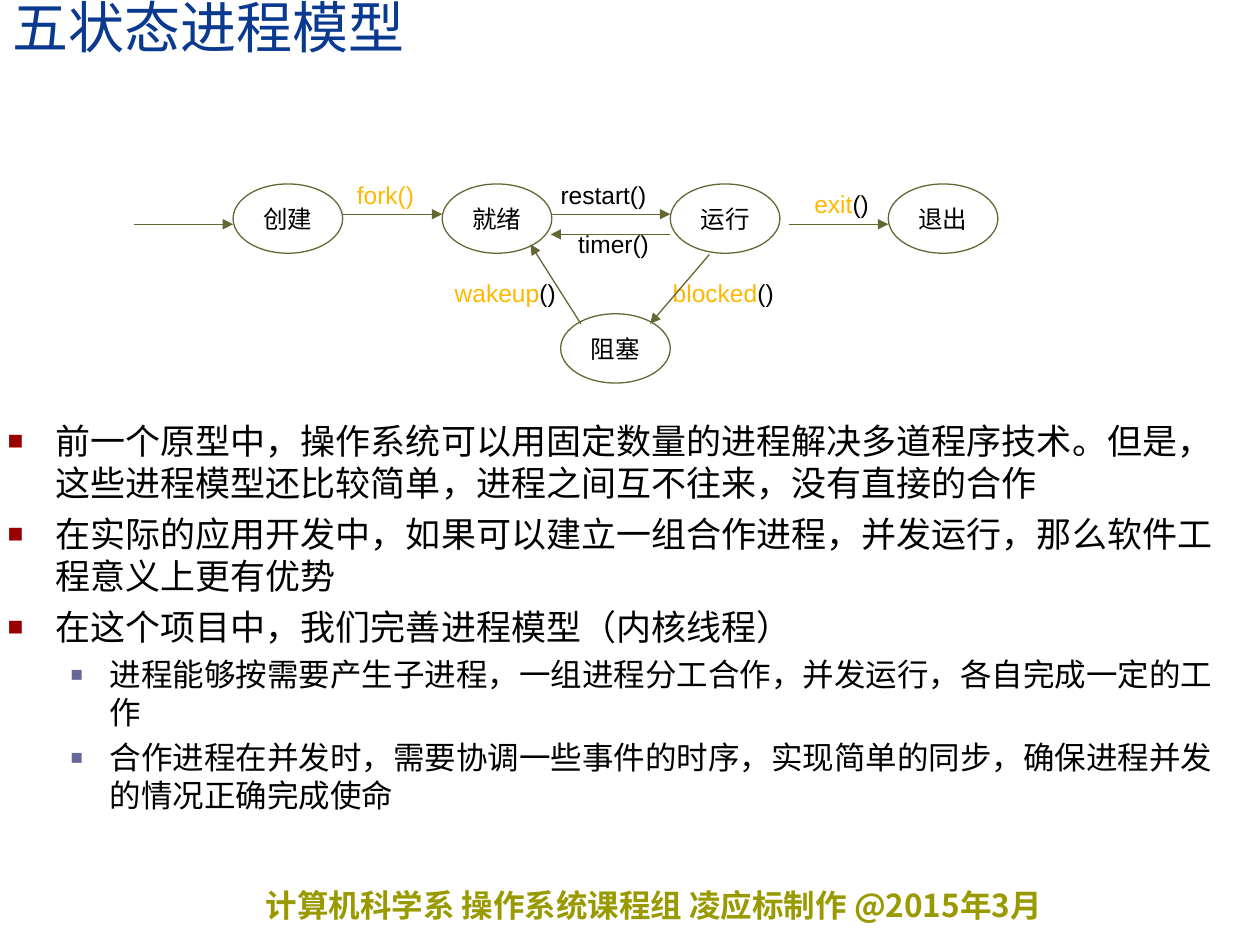
"""Build the five-state process model slide."""
from lxml import etree
from pptx import Presentation
from pptx.dml.color import RGBColor
from pptx.enum.shapes import MSO_CONNECTOR, MSO_SHAPE
from pptx.enum.text import MSO_ANCHOR, MSO_AUTO_SIZE, PP_ALIGN
from pptx.oxml import parse_xml
from pptx.oxml.ns import nsdecls, qn
from pptx.util import Inches, Pt

BLACK, ORANGE, OLIVE, WHITE = "000000", "FFB800", "666633", "FFFFFF"


def color(value):
    return RGBColor.from_string(value)


def set_font(font, name, size, value, bold=False):
    font.name, font.size, font.bold = name, Pt(size), bold
    font.color.rgb = color(value)


presentation = Presentation()
presentation.slide_width, presentation.slide_height = Inches(10), Inches(7.5)
slide = presentation.slides.add_slide(presentation.slide_layouts[1])
shapes = slide.shapes

footer = shapes.add_textbox(Inches(2.01), Inches(6.98), Inches(7.48), Inches(0.4))
footer.text_frame.word_wrap = True
paragraph = footer.text_frame.paragraphs[0]
paragraph.text = "计算机科学系 操作系统课程组 凌应标制作 @2015年3月"
set_font(paragraph.font, "Noto Sans CJK SC", 18, "999900", True)

title = shapes.title
title.left, title.top, title.width, title.height = Inches(0), Inches(0), Inches(10), Inches(0.52)
title.text_frame.auto_size = MSO_AUTO_SIZE.NONE
title.text_frame.vertical_anchor = MSO_ANCHOR.BOTTOM
paragraph = title.text_frame.paragraphs[0]
paragraph.text = "五状态进程模型"
paragraph.alignment = PP_ALIGN.LEFT
paragraph.line_spacing = 0.8
set_font(paragraph.font, "Times New Roman", 32, "0A3A90")

body = slide.placeholders[1]
body.left, body.top, body.width, body.height = Inches(-0.04), Inches(3.28), Inches(10), Inches(3.56)
body.text_frame.auto_size = MSO_AUTO_SIZE.NONE
points = [
    (0, "前一个原型中，操作系统可以用固定数量的进程解决多道程序技术。但是，这些进程模型还比较简单，进程之间互不往来，没有直接的合作"),
    (0, "在实际的应用开发中，如果可以建立一组合作进程，并发运行，那么软件工程意义上更有优势"),
    (0, "在这个项目中，我们完善进程模型（内核线程）"),
    (1, "进程能够按需要产生子进程，一组进程分工合作，并发运行，各自完成一定的工作"),
    (1, "合作进程在并发时，需要协调一些事件的时序，实现简单的同步，确保进程并发的情况正确完成使命"),
]
level_styles = [(0.38, -0.38, 20, 5, "990000", 75), (0.81, -0.31, 18, 4.5, "666699", 65)]
for index, (level, text) in enumerate(points):
    margin, indent, size, space, bullet_color, bullet_size = level_styles[level]
    paragraph = body.text_frame.paragraphs[0] if index == 0 else body.text_frame.add_paragraph()
    paragraph.text, paragraph.level = text, level
    paragraph.space_before = Pt(space if index else 0)
    properties = paragraph._p.get_or_add_pPr()
    properties.set("marL", str(Inches(margin)))
    properties.set("indent", str(Inches(indent)))
    for xml in (
        f'<a:buClr {nsdecls("a")}><a:srgbClr val="{bullet_color}"/></a:buClr>',
        f'<a:buSzPct {nsdecls("a")} val="{bullet_size * 1000}"/>',
        f'<a:buChar {nsdecls("a")} char="■"/>',
    ):
        properties.append(parse_xml(xml))
    set_font(paragraph.font, "Arial", size, BLACK)

labels = [
    (5.24, 2.17, [("blocked", ORANGE), ("()", BLACK)]),
    (3.51, 2.17, [("wakeup", ORANGE), ("()", BLACK)]),
    (2.56, 1.39, [("fork()", ORANGE)]),
    (6.18, 1.46, [("exit", ORANGE), ("()", BLACK)]),
    (4.29, 1.39, [("restart()", BLACK)]),
    (4.37, 1.78, [("timer()", BLACK)]),
]
states = [
    (1.85, 1.46, "创建"),
    (3.51, 1.46, "就绪"),
    (4.45, 2.49, "阻塞"),
    (5.32, 1.46, "运行"),
    (7.05, 1.46, "退出"),
]
nodes = [(MSO_SHAPE.RECTANGLE, left, top, 1, 0.31, WHITE, runs) for left, top, runs in labels]
nodes += [(MSO_SHAPE.OVAL, left, top, 0.87, 0.55, OLIVE, [(name, BLACK)]) for left, top, name in states]
for kind, left, top, width, height, line_color, runs in nodes:
    shape = shapes.add_shape(kind, Inches(left), Inches(top), Inches(width), Inches(height))
    shape.shadow.inherit = False
    shape.fill.background()
    shape.line.color.rgb = color(line_color)
    shape.line.width = Pt(0.75)
    shape.text_frame.word_wrap = False
    shape.text_frame.vertical_anchor = MSO_ANCHOR.MIDDLE
    paragraph = shape.text_frame.paragraphs[0]
    paragraph.alignment = PP_ALIGN.CENTER
    for text, text_color in runs:
        run = paragraph.add_run()
        run.text = text
        set_font(run.font, "Arial", 14, text_color)

arrows = [
    (2.72, 1.7, 3.51, 1.7),
    (5.32, 1.86, 4.37, 1.86),
    (5.63, 2.02, 5.16, 2.57),
    (4.37, 1.7, 5.32, 1.7),
    (6.26, 1.78, 7.05, 1.78),
    (4.61, 2.57, 4.21, 1.94),
    (1.06, 1.78, 1.85, 1.78),
]
for ends in arrows:
    arrow = shapes.add_connector(MSO_CONNECTOR.STRAIGHT, *map(Inches, ends))
    arrow.line.color.rgb = color(OLIVE)
    arrow.line.width = Pt(0.75)
    etree.SubElement(arrow.line._get_or_add_ln(), qn("a:tailEnd"), type="triangle")
    etree.SubElement(arrow._element.spPr, qn("a:effectLst"))

presentation.save("out.pptx")
